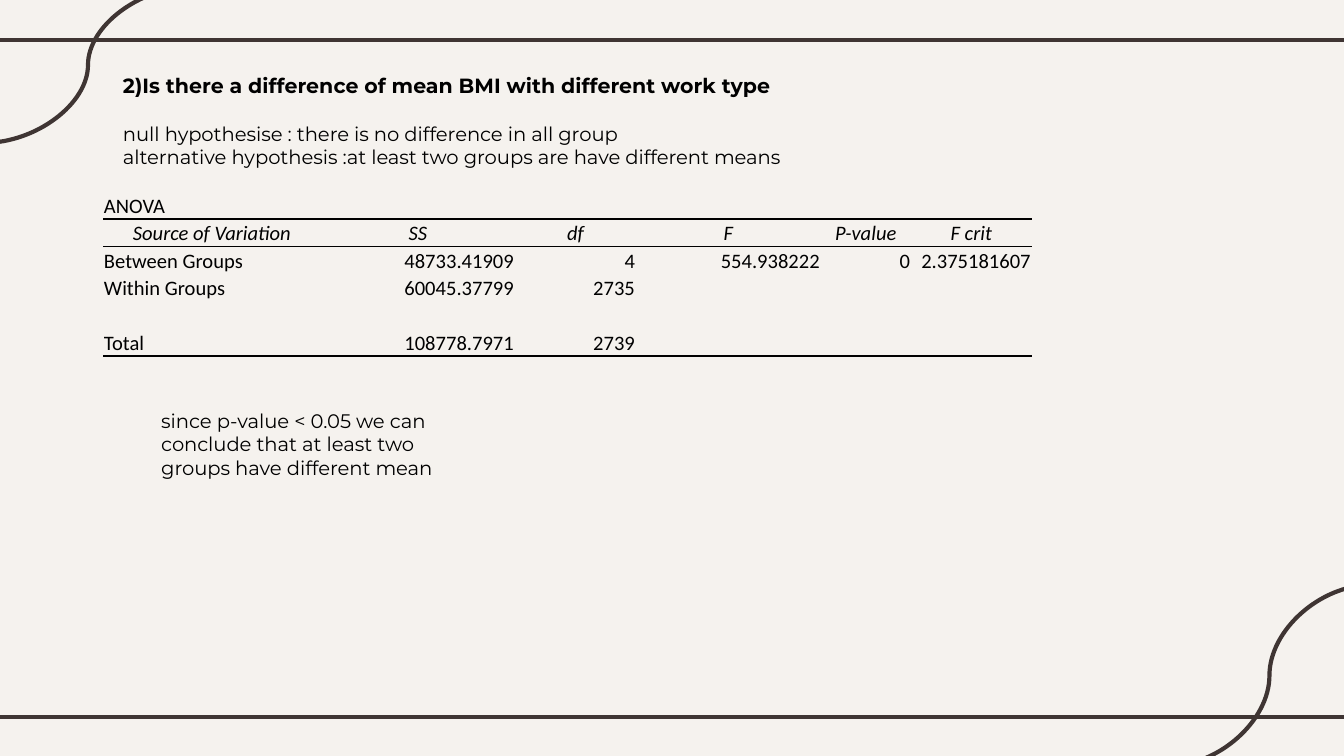
"""Build a slide reporting an ANOVA of mean BMI across work types."""
from dataclasses import dataclass

from lxml.etree import SubElement
from pptx import Presentation
from pptx.dml.color import RGBColor
from pptx.enum.shapes import MSO_CONNECTOR
from pptx.enum.text import MSO_ANCHOR, PP_ALIGN
from pptx.oxml.ns import qn
from pptx.util import Pt


@dataclass(frozen=True)
class Theme:
    paper: RGBColor = RGBColor(0xF5, 0xF2, 0xEE)
    frame: RGBColor = RGBColor(0x3F, 0x35, 0x33)
    ink: RGBColor = RGBColor(0, 0, 0)
    text_font: str = "Montserrat"
    table_font: str = "Calibri"
    heading_size: float = 11
    body_size: float = 10.5
    table_size: float = 11
    frame_width: float = 2.25


theme = Theme()
NO_STYLE_NO_GRID = "{2D5ABB26-0587-4C30-8999-92F81FD0307C}"


def px(length):
    return round(length * 914400 / 134.4)


def format_span(span, font_name, size, bold=False, italic=False):
    span.font.name = font_name
    span.font.size = Pt(size)
    span.font.bold = bold
    span.font.italic = italic
    span.font.color.rgb = theme.ink


deck = Presentation()
deck.slide_width, deck.slide_height = px(1344), px(756)
page = deck.slides.add_slide(deck.slide_layouts[6])
page.background.fill.solid()
page.background.fill.fore_color.rgb = theme.paper

frame_lines = [
    (MSO_CONNECTOR.STRAIGHT, -11, 40, 1355, 40),
    (MSO_CONNECTOR.STRAIGHT, -11, 717, 1355, 717),
    (MSO_CONNECTOR.CURVE, 1371, 585, 1168, 766),
    (MSO_CONNECTOR.CURVE, 192, -13, -16, 143),
]
for kind, *ends in frame_lines:
    connector = page.shapes.add_connector(kind, *map(px, ends))
    connector.line.color.rgb = theme.frame
    connector.line.width = Pt(theme.frame_width)
    SubElement(connector._element.spPr, qn("a:effectLst"))

hypotheses = [
    ("2)Is there a difference of mean BMI with different work type", theme.heading_size, True, 0),
    ("null hypothesise : there is no difference in all group", theme.body_size, False, 13),
    ("alternative hypothesis :at least two groups are have different means", theme.body_size, False, 0),
]
box = page.shapes.add_textbox(px(94), px(60), px(1183), px(590))
frame = box.text_frame
frame.word_wrap = True
frame.margin_left = frame.margin_right = frame.margin_top = frame.margin_bottom = px(13)
frame.text = "\n".join(text for text, *_ in hypotheses)
for para, (_, size, bold, gap) in zip(frame.paragraphs, hypotheses):
    properties = para._p.get_or_add_pPr()
    properties.set("marL", str(px(67)))
    properties.set("indent", str(px(-51)))
    if gap:
        para.space_before = Pt(gap)
    format_span(para.runs[0], theme.text_font, size, bold)

anova_rows = [
    ["ANOVA", "", "", "", "", ""],
    ["Source of Variation", "SS", "df", "F", "P-value", "F crit"],
    ["Between Groups", "48733.41909", "4", "554.938222", "0", "2.375181607"],
    ["Within Groups", "60045.37799", "2735", "", "", ""],
    ["", "", "", "", "", ""],
    ["Total", "108778.7971", "2739", "", "", ""],
]
column_widths = [218, 194, 121, 185, 90, 121]
row_heights = [27, 27, 28, 27, 27, 28]
rule_below = {0: 1, 1: 0.5, 5: 1}
header_row = 1

table = page.shapes.add_table(
    len(row_heights), len(column_widths),
    px(103), px(192), px(sum(column_widths)), px(sum(row_heights)),
).table
table.first_row = table.horz_banding = False
table._tbl.tblPr.find(qn("a:tableStyleId")).text = NO_STYLE_NO_GRID
for column, width in zip(table.columns, column_widths):
    column.width = px(width)
for row, height in zip(table.rows, row_heights):
    row.height = px(height)

for row_index, values in enumerate(anova_rows):
    for column_index, value in enumerate(values):
        cell = table.cell(row_index, column_index)
        cell.vertical_anchor = MSO_ANCHOR.BOTTOM
        cell.margin_left = cell.margin_right = cell.margin_top = px(1)
        cell.margin_bottom = 0
        if row_index in rule_below:
            rule = SubElement(cell._tc.get_or_add_tcPr(), qn("a:lnB"), w=str(Pt(rule_below[row_index])))
            SubElement(SubElement(rule, qn("a:solidFill")), qn("a:srgbClr"), val=str(theme.ink))
        cell.fill.background()
        para = cell.text_frame.paragraphs[0]
        if row_index == header_row:
            para.alignment = PP_ALIGN.CENTER
        elif column_index:
            para.alignment = PP_ALIGN.RIGHT
        if value:
            para.text = value
            format_span(para.runs[0], theme.table_font, theme.table_size, italic=row_index == header_row)
        else:
            SubElement(para._p, qn("a:endParaRPr"), sz=str(theme.table_size * 100))

conclusion = page.shapes.add_textbox(px(148), px(402), px(308), px(85))
conclusion.text_frame.word_wrap = True
conclusion.text_frame.text = (
    "since p-value < 0.05 we can conclude that at least two groups have different mean"
)
format_span(conclusion.text_frame.paragraphs[0].runs[0], theme.text_font, theme.body_size)

deck.save("out.pptx")
